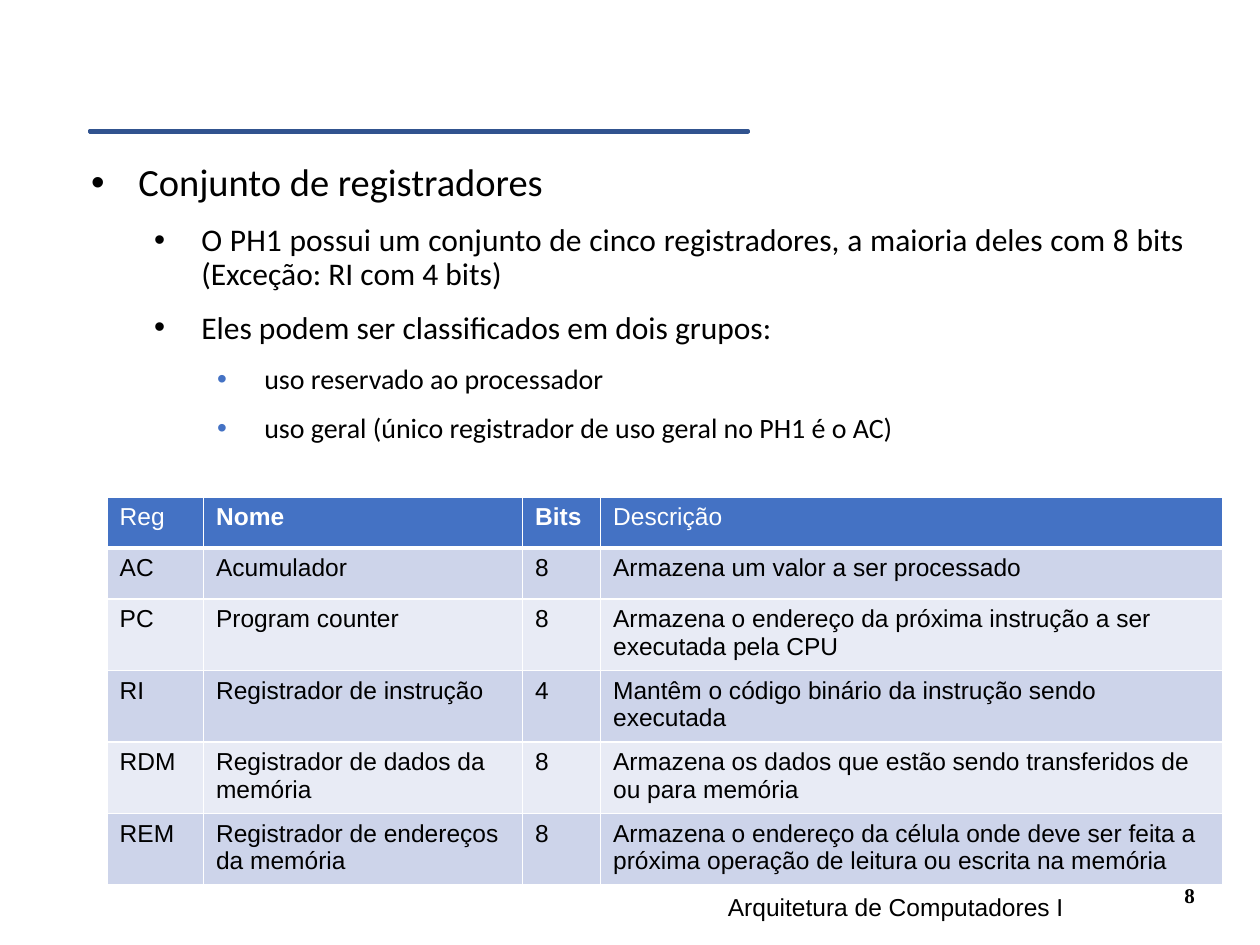
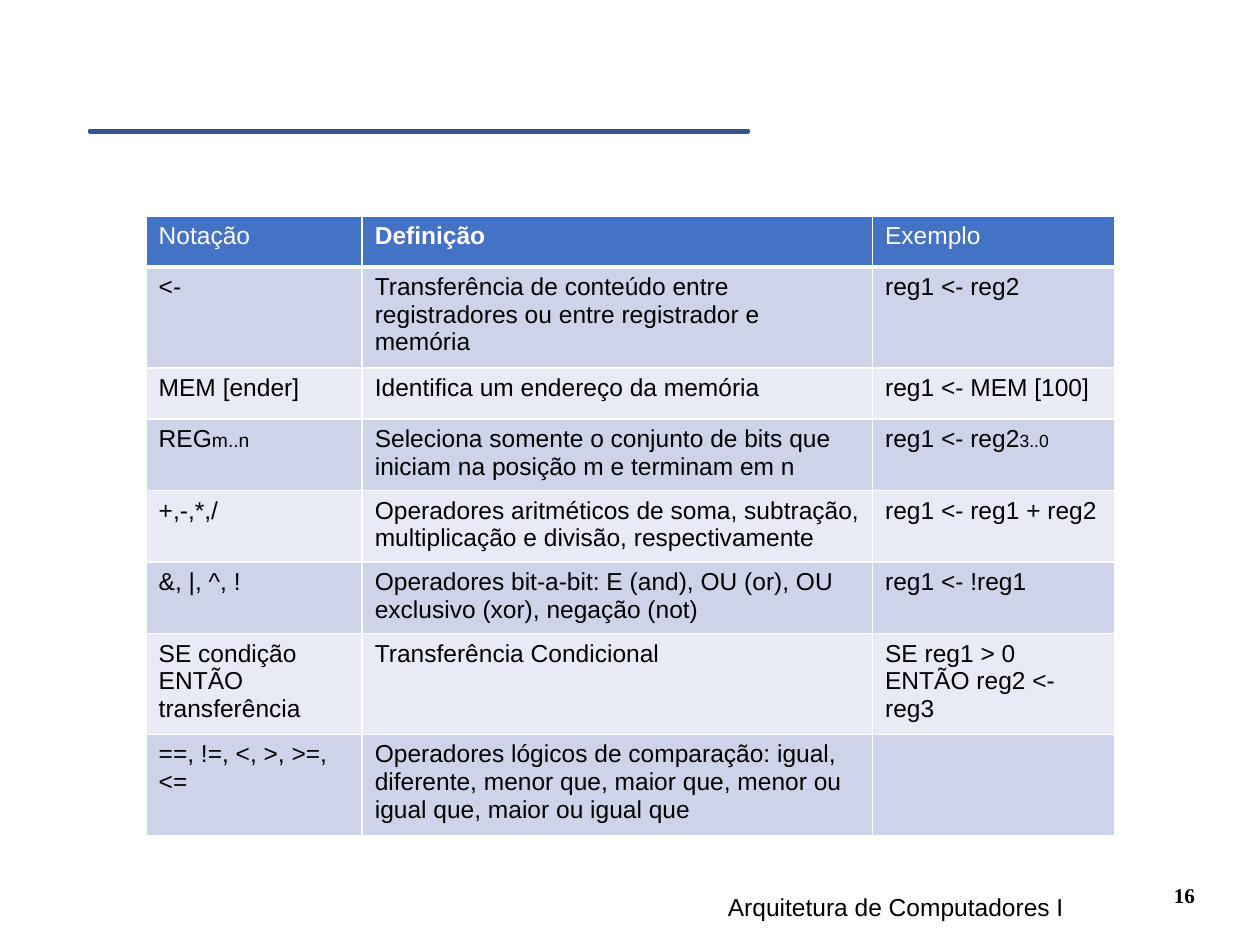
from lxml import etree
from pptx import Presentation
from pptx.dml.color import RGBColor
from pptx.enum.shapes import MSO_SHAPE
from pptx.enum.text import MSO_ANCHOR, PP_ALIGN
from pptx.oxml.ns import qn
from pptx.util import Pt

MINUS = MSO_SHAPE.MATH_MINUS
TOP, BOTTOM = MSO_ANCHOR.TOP, MSO_ANCHOR.BOTTOM
CENTER, RIGHT, JUSTIFY = PP_ALIGN.CENTER, PP_ALIGN.RIGHT, PP_ALIGN.JUSTIFY
BLACK, WHITE, BLUE, NAVY = "000000", "FFFFFF", "4472C4", "31538F"
BANDS = ["CDD4EA", "E8EBF5"]
ROW_HEIGHT = 29.2

bullets = [
    (0, "Conjunto de registradores"),
    (1, "O PH1 possui um conjunto de cinco registradores, a maioria deles "
        "com 8 bits (Exceção: RI com 4 bits)"),
    (1, "Eles podem ser classificados em dois grupos:"),
    (2, "uso reservado ao processador"),
    (2, "uso geral (único registrador de uso geral no PH1 é o AC)"),
]
bullet_sizes = [22, 18, 16]
bullet_colors = [BLACK, BLACK, BLUE]

registers = [
    ["Reg", "Nome", "Bits", "Descrição"],
    ["AC", "Acumulador", "8", "Armazena um valor a ser processado"],
    ["PC", "Program counter", "8",
     "Armazena o endereço da próxima instrução a ser executada pela CPU"],
    ["RI", "Registrador de instrução", "4",
     "Mantêm o código binário da instrução sendo executada"],
    ["RDM", "Registrador de dados da memória", "8",
     "Armazena os dados que estão sendo transferidos de ou para memória"],
    ["REM", "Registrador de endereços da memória", "8",
     "Armazena o endereço da célula onde deve ser feita a próxima operação "
     "de leitura ou escrita na memória"],
]
notation = [
    ["Notação", "Definição", "Exemplo"],
    ["<-", "Transferência de conteúdo entre registradores ou entre "
     "registrador e memória", "reg1 <- reg2"],
    ["MEM [ender]", "Identifica um endereço da memória", "reg1 <- MEM [100]"],
    [("REG", "m..n", 11), "Seleciona somente o conjunto de bits que iniciam "
     "na posição m e terminam em n", ("reg1 <- reg2", "3..0", 10)],
    ["+,-,*,/", "Operadores aritméticos de soma, subtração, multiplicação e "
     "divisão, respectivamente", "reg1 <- reg1 + reg2"],
    ["&, |, ^, !", "Operadores bit-a-bit: E (and), OU (or), OU exclusivo "
     "(xor), negação (not)", "reg1 <- !reg1"],
    ["SE condição ENTÃO transferência", "Transferência Condicional",
     "SE reg1 > 0 ENTÃO reg2 <- reg3"],
    ["==, !=, <, >, >=, <=", "Operadores lógicos de comparação: igual, "
     "diferente, menor que, maior que, menor ou igual que, maior ou igual "
     "que", ""],
]
slides = [
    ("8", bullets, registers, 61.2, 283.9, [55.1, 182.3, 44.6, 355.3]),
    ("16", [], notation, 83.5, 123.4, [123.5, 291.6, 138.2]),
]


def color(hex_string):
    return RGBColor.from_string(hex_string)


def write(p, text, size=14, font="Arial", fill=BLACK, bold=False):
    r = p.add_run()
    r.text = text
    r.font.size = Pt(size)
    r.font.name = font
    r.font.bold = bold
    r.font.color.rgb = color(fill)


def add_box(s, left, top, width, height, align, anchor=TOP):
    tf = s.shapes.add_textbox(Pt(left), Pt(top), Pt(width), Pt(height)).text_frame
    tf.word_wrap = True
    tf.vertical_anchor = anchor
    tf.paragraphs[0].alignment = align
    return tf


prs = Presentation()
prs.slide_width, prs.slide_height = Pt(720), Pt(540)

for number, items, rows, left, top, widths in slides:
    s = prs.slides.add_slide(prs.slide_layouts[6])

    if items:
        tf = add_box(s, 36, 90, 648, 356.4, JUSTIFY)
        for i, (level, text) in enumerate(items):
            p = tf.add_paragraph() if i else tf.paragraphs[0]
            pPr = p._p.get_or_add_pPr()
            pPr.set("marL", str(Pt(36 * (level + 1))))
            pPr.set("indent", str(Pt(-27)))
            clr = etree.SubElement(pPr, qn("a:buClr"))
            etree.SubElement(clr, qn("a:srgbClr"), val=bullet_colors[level])
            etree.SubElement(pPr, qn("a:buFont"), typeface="Arial")
            etree.SubElement(pPr, qn("a:buChar"), char="•")
            p.level = level
            p.alignment = JUSTIFY
            p.line_spacing = 0.9
            if i:
                p.space_before = Pt(11)
            write(p, text, size=bullet_sizes[level], font="Calibri")

    tf = add_box(s, 504, 486, 185.8, 36, RIGHT, BOTTOM)
    write(tf.paragraphs[0], number, size=12, font="Times New Roman", bold=True)

    sp = s.shapes.add_shape(MINUS, Pt(-16.6), Pt(73.4), Pt(512), Pt(3.6))
    sp.shadow.inherit = False
    sp.fill.solid()
    sp.fill.fore_color.rgb = color(BLUE)
    sp.line.color.rgb = color(NAVY)
    sp.line.width = Pt(2)

    tf = add_box(s, 352.1, 506.2, 319.7, 36, CENTER)
    write(tf.paragraphs[0], "Arquitetura de Computadores I")

    table = s.shapes.add_table(len(rows), len(widths), Pt(left), Pt(top),
                               Pt(sum(widths)), Pt(ROW_HEIGHT * len(rows))).table
    for column, width in zip(table.columns, widths):
        column.width = Pt(width)
    for i, row in enumerate(rows):
        table.rows[i].height = Pt(ROW_HEIGHT)
        for j, value in enumerate(row):
            cell = table.cell(i, j)
            tcPr = cell._tc.get_or_add_tcPr()
            for side in "LRTB":
                thick = (i, side) in [(0, "B"), (1, "T")]
                ln = etree.SubElement(tcPr, qn("a:ln" + side),
                                      w=str(Pt(3 if thick else 1)))
                solid = etree.SubElement(ln, qn("a:solidFill"))
                etree.SubElement(solid, qn("a:srgbClr"), val=WHITE)
            cell.fill.solid()
            cell.fill.fore_color.rgb = color(BANDS[(i - 1) % 2] if i else BLUE)
            p = cell.text_frame.paragraphs[0]
            if isinstance(value, tuple):
                base, subscript, size = value
                write(p, base)
                write(p, subscript, size=size)
            elif value:
                inner = 0 < j < len(row) - 1
                write(p, value, fill=BLACK if i else WHITE,
                      bold=i == 0 and inner)

prs.save("out.pptx")
